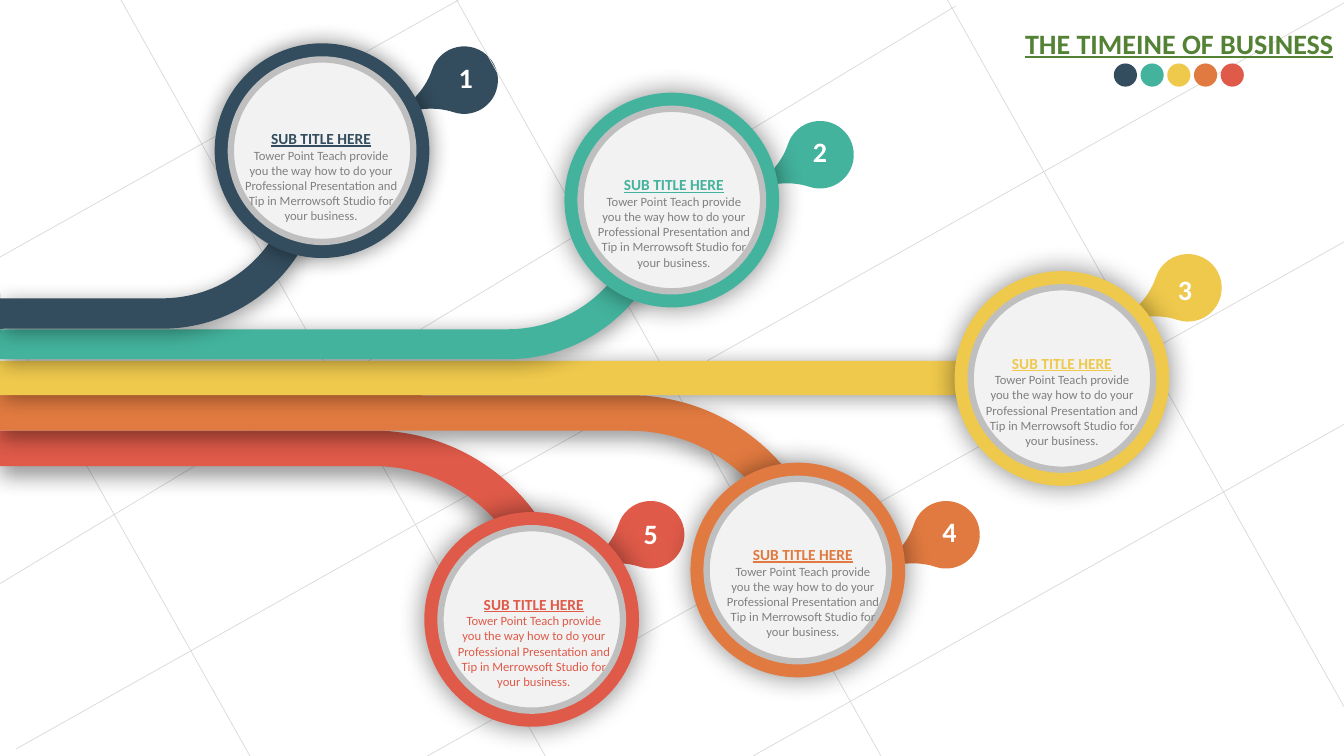
import pptx
import pptx.util
import pptx.dml.color
import pptx.enum.shapes
import pptx.enum.text
import pptx.oxml.ns
import lxml.etree

SHAPES = pptx.enum.shapes.MSO_SHAPE
CELL = pptx.util.Inches(0.1)  # one column or row of the slide grid
COLUMNS, ROWS = 133.33, 75
FONT = "Calibri"
COLORS = {
    "navy": "334D5E", "teal": "43B39D", "yellow": "EFC94C", "orange": "E17A40",
    "red": "DF5A49", "white": "FFFFFF", "pale": "F2F2F2", "rim": "BFBFBF",
    "grid": "D9D9D9", "body": "808080", "title": "548235", "shadow": "000000",
}
BODY = ("Tower Point Teach provide you the way how to do your Professional "
        "Presentation and Tip in Merrowsoft Studio for your business.")
DISC, DISC_FACE, DROP, DOT = 21.3, 18.1, 6.7, 2.3

# Disc position, then caption and drop from the disc, number from the drop's centre
STEPS = [
    dict(number="1", color="navy", body="body", disc=(21.3, 4.3),
         caption=(2, 8), drop=(21.4, 0.3), nudge=(0.15, -0.25), blur=14),
    dict(number="2", color="teal", body="body", disc=(56, 9.2),
         caption=(2.3, 7.7), drop=(22, 2.8), nudge=(0, -0.25), blur=18),
    dict(number="3", color="yellow", body="body", disc=(94.7, 26.9),
         caption=(2.1, 7.7), drop=(19.8, -1.7), nudge=(-0.3, 0.15), blur=18),
    dict(number="4", color="orange", body="body", disc=(68.5, 45.9),
         caption=(2.6, 7.7), drop=(22, 3.8), nudge=(0.35, -0.25), blur=18),
    dict(number="5", color="red", body="red", disc=(42.1, 50.8),
         caption=(2.3, 7.7), drop=(19.1, -1.1), nudge=(0, -0.15), blur=18),
]
# Colour, box, bend adjustments, flipped, shadow distance and direction
PIPES = [
    ("red", (0, 42.7, 56.9, 19.9), (0.177, 0.089, 0, 1), True, 8, 90),
    ("orange", (0, 39.2, 82.4, 19.9), (0.177, 0.089, 0, 1), True, 6, 90),
    ("yellow", (0, 35.8, 102, 3.4), None, False, 3, 45),
    ("teal", (0, 19.3, 66.7, 16.8), (0.177, 0.116, 0, 0.992), False, 3, 45),
    ("navy", (0, 16.6, 32.1, 16.5), (0.183, 0.121, 0, 1), False, 3, 45),
]
GRID_LINES = [
    (45.3, 0, 87.4, ROWS), (94, 0, COLUMNS, 70.1), (12, 0, 54.1, ROWS),
    (0, 30.9, 24.8, ROWS), (0, 25.5, 45.5, 0), (42.4, ROWS, COLUMNS, 24),
    (1.6, 74.3, COLUMNS, 0.3), (0, 57.9, 94.8, 0.6), (74.7, ROWS, COLUMNS, 42.1),
]


def rgb(name):
    return pptx.dml.color.RGBColor.from_string(COLORS[name])


def cells(*values):
    return [round(value * CELL) for value in values]


def add_filled(slide, kind, box, color, rim=None):
    shape = slide.shapes.add_shape(kind, *cells(*box))
    shape.shadow.inherit = False
    shape.fill.solid()
    shape.fill.fore_color.rgb = rgb(color)
    if rim:
        shape.line.color.rgb = rgb(rim)
        shape.line.width = pptx.util.Pt(4.5)
    else:
        shape.line.fill.background()
    return shape


def cast_shadow(shape, blur, distance, direction, scale=100):
    """Blur and distance are in points, direction in degrees, scale in percent."""
    qn = pptx.oxml.ns.qn
    effects = shape._element.spPr.find(qn("a:effectLst"))
    shadow = lxml.etree.SubElement(
        effects, qn("a:outerShdw"), blurRad=str(pptx.util.Pt(blur)),
        dist=str(pptx.util.Pt(distance)), dir=str(direction * 60000),
        sx=str(scale * 1000), sy=str(scale * 1000),
        algn="ctr", rotWithShape="0")
    color = lxml.etree.SubElement(shadow, qn("a:srgbClr"), val=COLORS["shadow"])
    lxml.etree.SubElement(color, qn("a:alpha"), val="40000")


def add_text(slide, box, lines, wrap=True):
    """Each line is (text, size, colour, bold, underline)."""
    frame = slide.shapes.add_textbox(*cells(*box)).text_frame
    frame.word_wrap = wrap
    for index, (text, size, color, bold, underline) in enumerate(lines):
        paragraph = frame.add_paragraph() if index else frame.paragraphs[0]
        paragraph.alignment = pptx.enum.text.PP_ALIGN.CENTER
        run = paragraph.add_run()
        run.text = text
        run.font.name = FONT
        run.font.size = pptx.util.Pt(size)
        run.font.color.rgb = rgb(color)
        run.font.bold = bold
        run.font.underline = underline


def add_grid_lines(slide):
    for ends in GRID_LINES:
        line = slide.shapes.add_connector(
            pptx.enum.shapes.MSO_CONNECTOR.STRAIGHT, *cells(*ends))
        line.line.color.rgb = rgb("grid")
        line.line.width = pptx.util.Pt(0.5)
        lxml.etree.SubElement(line._element.spPr, pptx.oxml.ns.qn("a:effectLst"))


def add_drop(slide, step):
    left, top = (step["disc"][i] + step["drop"][i] for i in (0, 1))
    drop = add_filled(slide, SHAPES.TEAR, (left, top, DROP, DROP), step["color"])
    drop.adjustments[0] = 2
    drop.rotation = 198.3
    side = 4.4
    inset = (DROP - side) / 2
    number_box = (left + inset + step["nudge"][0], top + inset + step["nudge"][1],
                  side, side)
    add_text(slide, number_box, [(step["number"], 20, "white", True, False)])


def add_pipe(slide, color, box, bend, flipped, distance, direction):
    kind = SHAPES.BENT_ARROW if bend else SHAPES.RECTANGLE
    pipe = add_filled(slide, kind, box, color)
    if bend:
        for index, value in enumerate(bend):
            pipe.adjustments[index] = value
        pipe.rotation = 180
    if flipped:
        pipe._element.spPr.xfrm.set("flipV", "1")
    cast_shadow(pipe, 15, distance, direction)


def add_disc(slide, step):
    left, top = step["disc"]
    rim = add_filled(slide, SHAPES.OVAL, (left, top, DISC, DISC), step["color"])
    cast_shadow(rim, step["blur"], 0, 0, scale=102)
    inset = (DISC - DISC_FACE) / 2
    add_filled(slide, SHAPES.OVAL, (left + inset, top + inset, DISC_FACE, DISC_FACE),
               "pale", "rim")
    caption_left, caption_top = step["caption"]
    add_text(slide, (left + caption_left, top + caption_top, 17.1, 12.2), [
        ("SUB TITLE HERE", 11, step["color"], True, True),
        (BODY, 9, step["body"], False, False)])


def add_heading(slide, left, top, width):
    add_text(slide, (left, top, width, 4.4),
             [("THE TIMEINE OF BUSINESS", 20, "title", True, True)], wrap=False)
    for index, step in enumerate(STEPS):
        dot_left = left + 9.8 + index * 2.65
        add_filled(slide, SHAPES.OVAL, (dot_left, top + 4.2, DOT, DOT), step["color"])


def main():
    presentation = pptx.Presentation()
    presentation.slide_width, presentation.slide_height = cells(COLUMNS, ROWS)
    slide = presentation.slides.add_slide(presentation.slide_layouts[6])
    for step in STEPS:
        add_drop(slide, step)
    add_grid_lines(slide)
    for pipe in PIPES:
        add_pipe(slide, *pipe)
    for step in reversed(STEPS):
        add_disc(slide, step)
    add_heading(slide, 100.7, 2.1, 32.6)
    presentation.save("out.pptx")


if __name__ == "__main__":
    main()
